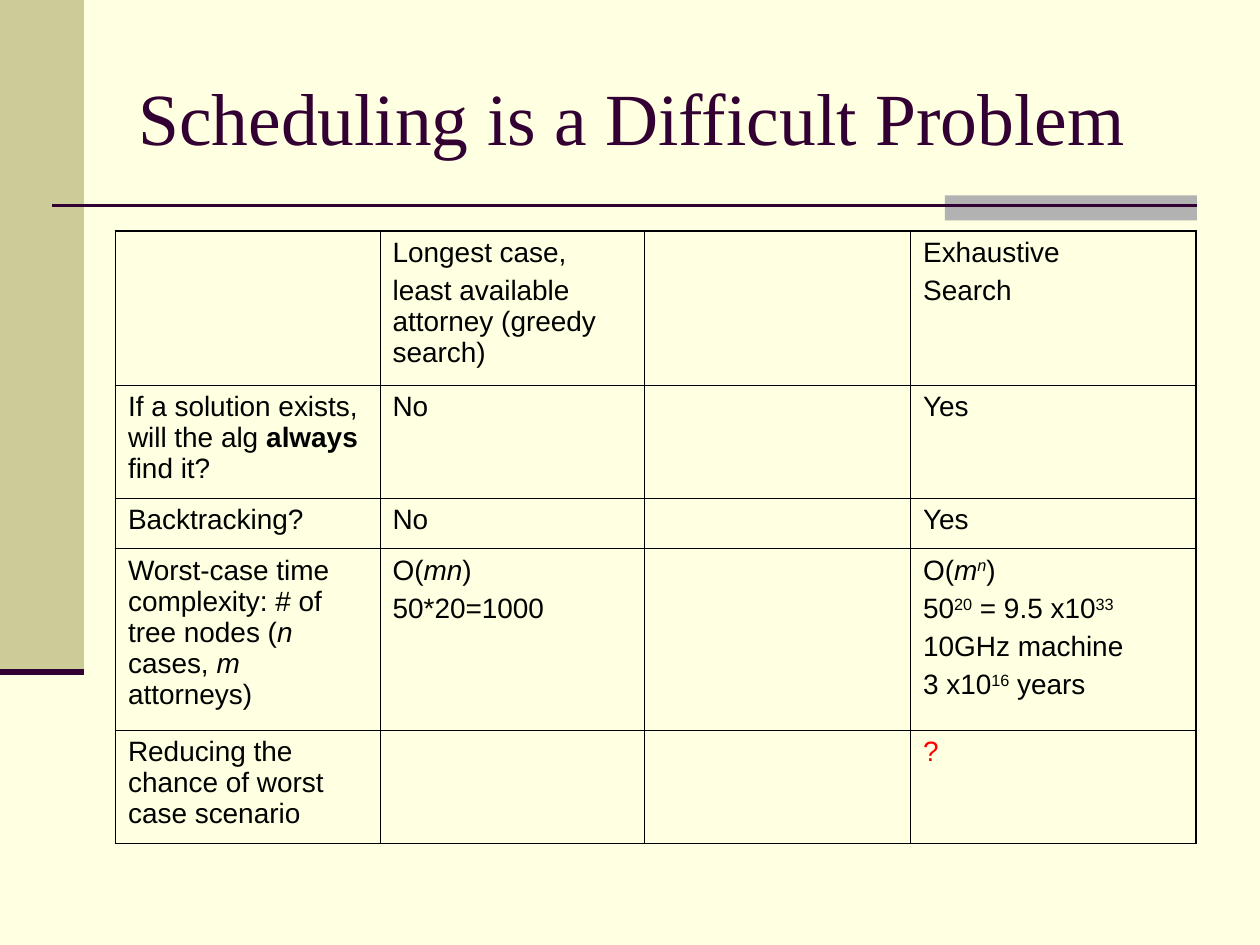
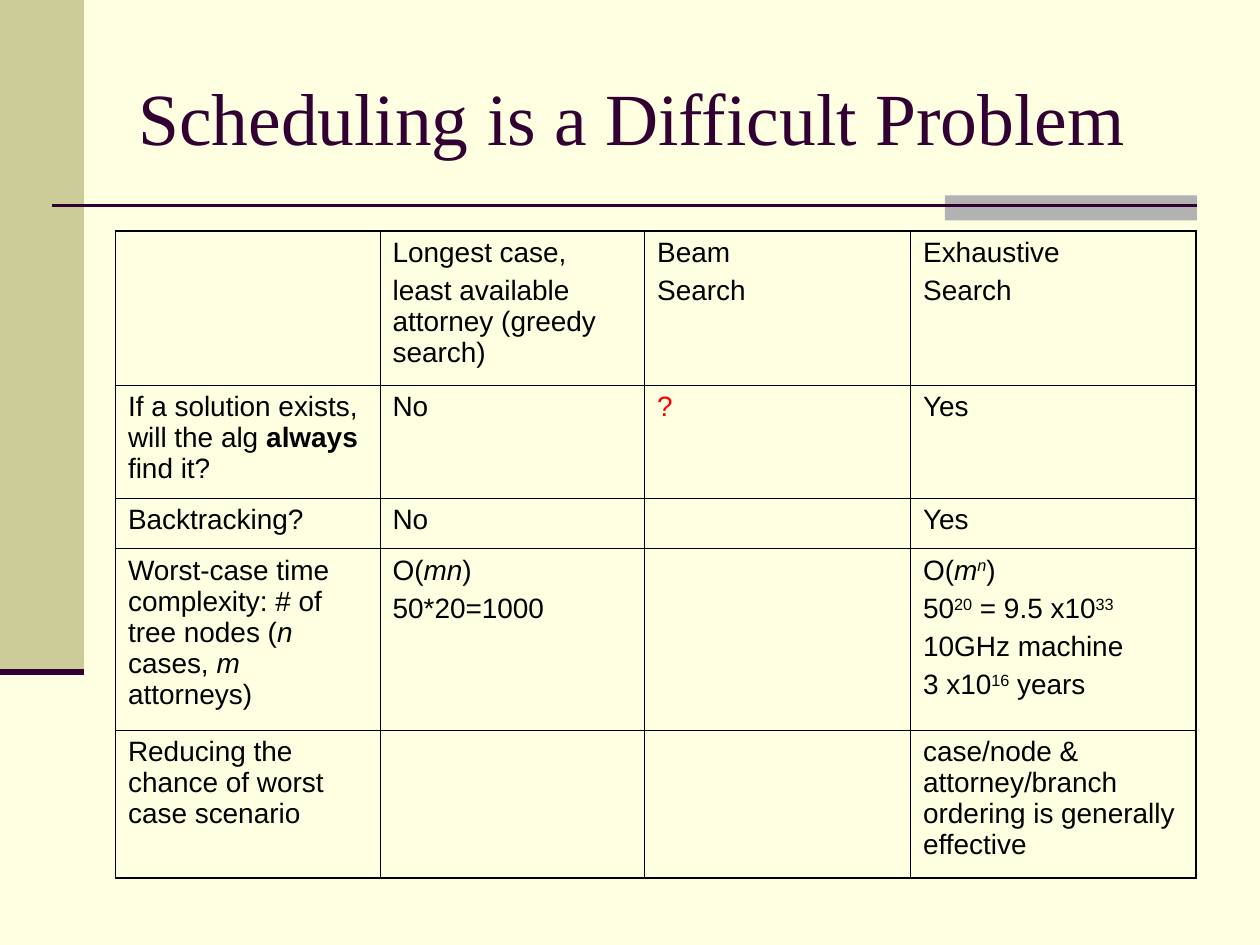
from lxml import etree
from pptx import Presentation
from pptx import util as u
from pptx.dml import color
from pptx.enum import shapes, text
from pptx.oxml import ns

PAPER, PLUM, SAND, GREY = "FFFFE1", "330033", "CCCC99", "B2B2B2"
BLACK, RED = "000000", "FF0000"
THIN, THICK = 0.45, 1.08

TITLE = "Scheduling is a Difficult Problem"
QUERY = [[("?", "red")]]
GRID = [
    [[], ["Longest case,", "least available attorney (greedy search)"],
     [], ["Exhaustive", "Search"]],
    [[["If a solution exists, will the alg ", ("always", "bold"), " find it?"]],
     ["No"], [], ["Yes"]],
    [["Backtracking?"], ["No"], [], ["Yes"]],
    [[["Worst-case time complexity: # of tree nodes (", ("n", "ital"),
       " cases, ", ("m", "ital"), " attorneys)"]],
     [["O(", ("mn", "ital"), ")"], "50*20=1000"],
     [],
     [["O(", ("m", "ital"), ("n", "ital sup"), ")"],
      ["50", ("20", "sup"), " = 9.5 x10", ("33", "sup")],
      "10GHz machine",
      ["3 x10", ("16", "sup"), " years"]]],
    [["Reducing the chance of worst case scenario"], [], [], []],
]
SLIDES = [
    {"cells": {(4, 3): QUERY}, "last": 64.8},
    {"cells": {
        (0, 2): ["Beam", "Search"],
        (1, 2): QUERY,
        (4, 3): ["case/node & attorney/branch ordering is generally effective"],
    }, "last": 84.4},
]
COLS = [151.2, 151.2, 152, 163.2]
ROWS = [88, 64.8, 28.4, 103.6]
BARS = [(0, 0, 48, 384, SAND), (540, 111.6, 144, 14.4, GREY)]
RULES = [(30, 684, 117.5, 1.5), (0, 48, 384, 3.5)]


def rgb(code):
    return color.RGBColor.from_string(code)


def pts(*nums):
    return [u.Pt(num) for num in nums]


def add_run(par, words, font, size, tint, style=""):
    run = par.add_run()
    run.text = words
    run.font.name, run.font.size = font, u.Pt(size)
    run.font.color.rgb = rgb(tint)
    if "bold" in style:
        run.font.bold = True
    if "ital" in style:
        run.font.italic = True
    if "sup" in style:
        run.font._element.set("baseline", "30000")


def add_frame(slide):
    for *box, tint in BARS:
        bar = slide.shapes.add_shape(shapes.MSO_SHAPE.RECTANGLE, *pts(*box))
        bar.shadow.inherit = False
        bar.fill.solid()
        bar.fill.fore_color.rgb = rgb(tint)
        bar.line.fill.background()
    for left, right, top, width in RULES:
        rule = slide.shapes.add_connector(
            shapes.MSO_CONNECTOR.STRAIGHT, *pts(left, top, right, top))
        rule.line.color.rgb = rgb(PLUM)
        rule.line.width = u.Pt(width)
        etree.SubElement(rule._element.spPr, ns.qn("a:effectLst"))


def add_title(slide):
    frame = slide.shapes.add_textbox(*pts(72, 21.6, 612, 90)).text_frame
    frame.word_wrap = True
    frame.vertical_anchor = text.MSO_ANCHOR.MIDDLE
    add_run(frame.paragraphs[0], TITLE, "Times New Roman", 42, PLUM)


def set_edges(cell, row, col, rows):
    outer = {"L": col == 0, "R": col == len(COLS) - 1,
             "T": row == 0, "B": row == rows - 1}
    props = cell._tc.get_or_add_tcPr()
    for spot, (side, heavy) in enumerate(outer.items()):
        edge = etree.Element(ns.qn("a:ln" + side))
        edge.set("w", str(u.Pt(THICK if heavy else THIN)))
        fill = etree.SubElement(edge, ns.qn("a:solidFill"))
        etree.SubElement(fill, ns.qn("a:srgbClr")).set("val", BLACK)
        props.insert(spot, edge)


def fill_cell(cell, lines):
    cell.fill.background()
    frame = cell.text_frame
    for num, line in enumerate(lines):
        par = frame.add_paragraph() if num else frame.paragraphs[0]
        if num:
            par.space_before = u.Pt(4)
        for part in [line] if isinstance(line, str) else line:
            words, style = (part, "") if isinstance(part, str) else part
            add_run(par, words, "Arial", 16, RED if style == "red" else BLACK, style)


def add_grid(slide, extra, last):
    rows = ROWS + [last]
    table = slide.shapes.add_table(
        len(rows), len(COLS), *pts(66, 132, sum(COLS), sum(rows))).table
    table.first_row = table.horz_banding = False
    for col, width in zip(table.columns, COLS):
        col.width = u.Pt(width)
    for row, height in zip(table.rows, rows):
        row.height = u.Pt(height)
    for row, line in enumerate(GRID):
        for col, lines in enumerate(line):
            cell = table.cell(row, col)
            fill_cell(cell, extra.get((row, col), lines))
            set_edges(cell, row, col, len(rows))


def main():
    deck = Presentation()
    deck.slide_width, deck.slide_height = pts(720, 540)
    for page in SLIDES:
        slide = deck.slides.add_slide(deck.slide_layouts[6])
        slide.background.fill.solid()
        slide.background.fill.fore_color.rgb = rgb(PAPER)
        add_frame(slide)
        add_title(slide)
        add_grid(slide, page["cells"], page["last"])
    deck.save("out.pptx")


if __name__ == "__main__":
    main()
